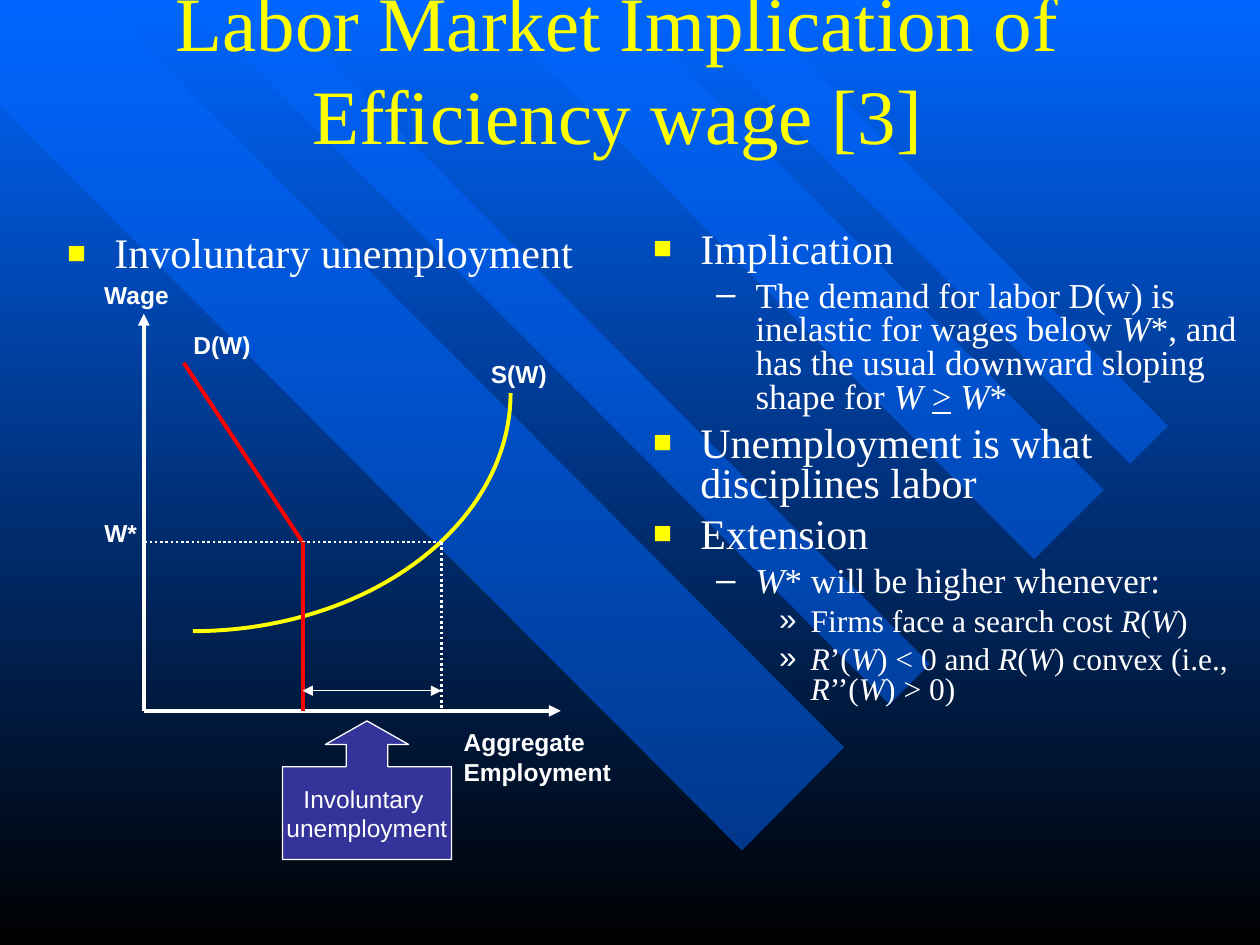
import math
from lxml import etree
from pptx import Presentation
from pptx import util as u
from pptx.dml.color import RGBColor
from pptx.enum import dml, shapes, text
from pptx.oxml.ns import qn

BLUE = RGBColor(0x00, 0x66, 0xFF)
BLACK = RGBColor(0x00, 0x00, 0x00)
YELLOW = RGBColor(0xFF, 0xFF, 0x00)
WHITE = RGBColor(0xFF, 0xFF, 0xFF)
RED = RGBColor(0xFF, 0x00, 0x00)
INDIGO = RGBColor(0x33, 0x33, 0x99)

TITLE = "Labor Market Implication of Efficiency wage [3]"
ITALIC, UNDERLINE = "/", "_"
LEFT_POINTS = [(0, ["Involuntary unemployment"])]
RIGHT_POINTS = [
    (0, ["Implication"]),
    (1, ["The demand for labor D(w) is inelastic for wages below ", "/W",
         "*, and has the usual downward sloping shape for ", "/W ", "_>", " ", "/W", "*"]),
    (0, ["Unemployment is what disciplines labor"]),
    (0, ["Extension"]),
    (1, ["/W", "* will be higher whenever:"]),
    (2, ["Firms face a search cost ", "/R", "(", "/W", ")"]),
    (2, ["/R", "’(", "/W", ") < 0 and ", "/R", "(", "/W", ") convex (i.e., ",
         "/R", "’’(", "/W", ") > 0)"]),
]
LEVELS = [
    dict(size=24, before=6, margin=27, hanging=27, bullet="■", color=YELLOW, percent=75),
    dict(size=20, before=5, margin=58.5, hanging=22.5, bullet="–", color=WHITE, percent=100),
    dict(size=18, before=4.5, margin=90, hanging=18, bullet="»", color=WHITE, percent=100),
]
BANDS = [
    [(482.4, 427), (56.9, 0), (0, 0), (0, 60.5), (424, 486)],
    [(154, 0), (531.4, 379.4), (508.3, 402.5), (107.3, 0)],
    [(352, 0), (630.7, 280), (591, 319.7), (273.6, 0)],
    [(381.6, 0), (645.8, 265), (667.4, 243.4), (425.5, 0)],
]
ORIGIN_X, ORIGIN_Y = 82.2, 406.2
WAGE_Y, DEMAND_X, SUPPLY_X, GAP_Y = 309.8, 172.9, 252.2, 394.7
SUPPLY_CENTER, SUPPLY_RADII = (110.2, 224.6), (181.6, 136.1)
AXES = [
    ((ORIGIN_X, ORIGIN_Y), (ORIGIN_X, 179.3), WHITE, 2.25, False, ["tailEnd"]),
    ((ORIGIN_X, ORIGIN_Y), (320.4, ORIGIN_Y), WHITE, 2.25, False, ["tailEnd"]),
]
GRAPH_LINES = [
    ((105, 207.4), (DEMAND_X, WAGE_Y), RED, 2.25, False, []),
    ((SUPPLY_X, WAGE_Y), (ORIGIN_X, WAGE_Y), WHITE, 1.5, True, []),
    ((DEMAND_X, WAGE_Y), (DEMAND_X, ORIGIN_Y), RED, 2.25, False, []),
    ((SUPPLY_X, WAGE_Y), (SUPPLY_X, ORIGIN_Y), WHITE, 1.5, True, []),
    ((DEMAND_X, GAP_Y), (SUPPLY_X, GAP_Y), WHITE, 0.75, False, ["headEnd", "tailEnd"]),
]
LABELS = [
    ("Aggregate\nEmployment", 257.8, 412, 99, 41),
    ("Wage", 52.5, 156.4, 52, 24.5),
    ("D(W)", 103.4, 185.2, 49, 24.5),
    ("S(W)", 273.4, 201.8, 48, 24.5),
    ("W*", 52.5, 292.5, 34, 24.5),
]
CALLOUT = "Involuntary \nunemployment"


def place(box, left, top, width, height):
    box.left, box.top, box.width, box.height = map(u.Pt, (left, top, width, height))


def style(run, face, size, color, bold=False):
    run.font.name, run.font.size, run.font.bold = face, u.Pt(size), bold
    run.font.color.rgb = color


def style_frame(frame, face, size, color, align, bold=False):
    for paragraph in frame.paragraphs:
        paragraph.alignment = align
        for run in paragraph.runs:
            style(run, face, size, color, bold)


def fill_body(body, points, spacing):
    frame = body.text_frame
    frame.auto_size = text.MSO_AUTO_SIZE.NONE
    for number, (level, pieces) in enumerate(points):
        look = LEVELS[level]
        paragraph = frame.add_paragraph() if number else frame.paragraphs[0]
        paragraph.level = level
        props = paragraph._p.get_or_add_pPr()
        props.set("marL", str(u.Pt(look["margin"])))
        props.set("indent", str(-u.Pt(look["hanging"])))
        bullet_color = etree.SubElement(props, qn("a:buClr"))
        etree.SubElement(bullet_color, qn("a:srgbClr"), val=str(look["color"]))
        etree.SubElement(props, qn("a:buSzPct"), val=str(look["percent"] * 1000))
        etree.SubElement(props, qn("a:buChar"), char=look["bullet"])
        paragraph.line_spacing = spacing
        paragraph.space_before = u.Pt(look["before"] if number else 0)
        for piece in pieces:
            run = paragraph.add_run()
            run.text = piece.lstrip(ITALIC + UNDERLINE)
            style(run, "Times New Roman", look["size"], WHITE)
            run.font.italic = piece.startswith(ITALIC)
            run.font.underline = piece.startswith(UNDERLINE)


def add_outline(slide, points, close):
    corners = [(u.Pt(x), u.Pt(y)) for x, y in points]
    builder = slide.shapes.build_freeform(*corners[0])
    builder.add_line_segments(corners[1:], close=close)
    outline = builder.convert_to_shape()
    outline.shadow.inherit = False
    return outline


def add_line(slide, start, end, color, width, dotted, arrows):
    line = slide.shapes.add_connector(shapes.MSO_CONNECTOR.STRAIGHT, *map(u.Pt, start + end))
    line.line.color.rgb, line.line.width = color, u.Pt(width)
    if dotted:
        line.line.dash_style = dml.MSO_LINE.ROUND_DOT
    for arrow in arrows:
        etree.SubElement(line.line._get_or_add_ln(), qn("a:" + arrow), type="triangle")
    etree.SubElement(line._element.spPr, qn("a:effectLst"))


def main():
    deck = Presentation()
    deck.slide_width, deck.slide_height = u.Pt(720), u.Pt(540)
    slide = deck.slides.add_slide(deck.slide_layouts[3])
    backdrop = slide.background.fill
    backdrop.gradient()
    backdrop.gradient_angle = 270
    for stop, color in zip(backdrop.gradient_stops, (BLUE, BLACK)):
        stop.color.rgb = color

    title, left_body, right_body = slide.placeholders
    for points in BANDS:
        band = add_outline(slide, points, True)
        band.fill.solid()
        band.fill.fore_color.rgb = BLUE
        tint = band._element.spPr.find(".//" + qn("a:srgbClr"))
        etree.SubElement(tint, qn("a:alpha"), val="50000")
        band.line.fill.background()
        title._element.addprevious(band._element)

    place(title, 0, 0, 705.6, 77)
    title.text_frame.text = TITLE
    title.text_frame.auto_size = text.MSO_AUTO_SIZE.NONE
    title.text_frame.vertical_anchor = text.MSO_ANCHOR.MIDDLE
    style_frame(title.text_frame, "Times New Roman", 44, YELLOW, text.PP_ALIGN.CENTER)
    place(left_body, 31.2, 129.1, 322.6, 350.6)
    fill_body(left_body, LEFT_POINTS, 0.9)
    place(right_body, 366, 129.1, 354, 350.6)
    fill_body(right_body, RIGHT_POINTS, 0.8)

    for axis in AXES:
        add_line(slide, *axis)
    angles = [math.radians(degrees) for degrees in range(0, 91, 2)]
    supply = add_outline(slide, [
        (SUPPLY_CENTER[0] + SUPPLY_RADII[0] * math.cos(angle),
         SUPPLY_CENTER[1] + SUPPLY_RADII[1] * math.sin(angle)) for angle in angles], False)
    supply.fill.background()
    supply.line.color.rgb, supply.line.width = YELLOW, u.Pt(2.25)
    for graph_line in GRAPH_LINES:
        add_line(slide, *graph_line)

    callout = slide.shapes.add_shape(
        shapes.MSO_SHAPE.UP_ARROW_CALLOUT, *map(u.Pt, (161.5, 412, 96.5, 79.2)))
    for index, ratio in enumerate((0.3, 0.3, 0.17, 0.67)):
        callout.adjustments[index] = ratio
    callout.shadow.inherit = False
    callout.fill.solid()
    callout.fill.fore_color.rgb = INDIGO
    callout.line.color.rgb, callout.line.width = WHITE, u.Pt(0.75)
    callout.text_frame.text = CALLOUT
    callout.text_frame.word_wrap = False
    callout.text_frame.vertical_anchor = text.MSO_ANCHOR.MIDDLE
    style_frame(callout.text_frame, "Arial", 14, WHITE, text.PP_ALIGN.CENTER)

    for wording, *bounds in LABELS:
        label = slide.shapes.add_textbox(*map(u.Pt, bounds))
        label.text_frame.text = wording
        label.text_frame.word_wrap = False
        label.text_frame.auto_size = text.MSO_AUTO_SIZE.SHAPE_TO_FIT_TEXT
        style_frame(label.text_frame, "Arial", 14, WHITE, text.PP_ALIGN.LEFT, True)
    deck.save("out.pptx")


if __name__ == "__main__":
    main()
